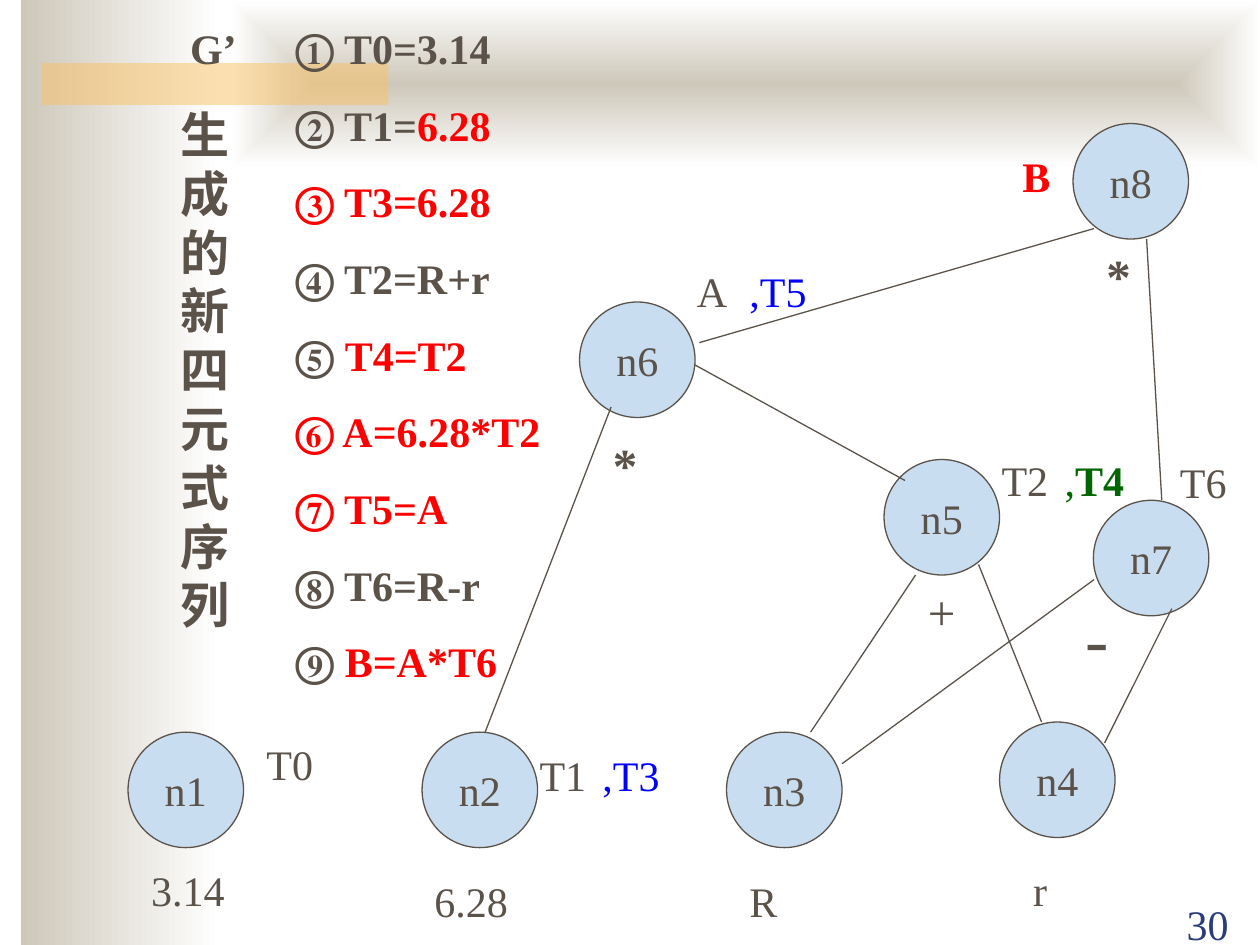
import pptx
import pptx.util
import pptx.dml.color
import pptx.enum.shapes
import pptx.enum.text
import pptx.oxml
import pptx.oxml.ns
from lxml import etree

Pt = pptx.util.Pt
ANCHOR = pptx.enum.text.MSO_ANCHOR
ALIGN = pptx.enum.text.PP_ALIGN
FIT = pptx.enum.text.MSO_AUTO_SIZE

COLOURS = {
    "ink": "5B5249", "node": "C9DDF1", "sand": "CEC8BA", "white": "FFFFFF",
    "band": "FAC164", "number": "2A3D7A", "red": "FF0000", "blue": "0000FF",
    "green": "006600",
}


def colour(name):
    return pptx.dml.color.RGBColor.from_string(COLOURS[name])


class GraphSlide:
    """Style and drawing methods for the graph slide."""

    font = "Times New Roman"
    chinese_font = "Noto Sans CJK JP"
    size = 24
    node_size = 66
    line_width = 0.75

    def __init__(self, slide):
        self.slide = slide

    def apply(self, target, formats):
        for name, value in formats.items():
            setattr(target, name, value)

    def rectangle(self, left, top, width, height):
        shape = self.slide.shapes.add_shape(
            pptx.enum.shapes.MSO_SHAPE.RECTANGLE, Pt(left), Pt(top), Pt(width), Pt(height))
        shape.shadow.inherit = False
        shape.line.fill.background()
        return shape

    def gradient(self, box, first, last, from_centre=False):
        fill = self.rectangle(*box).fill
        fill.gradient()
        fill.gradient_angle = 180
        for stop, name, position in zip(fill.gradient_stops, (first, last), (0, 1)):
            self.apply(stop, {"position": position})
            stop.color.rgb = colour(name)
        if from_centre:
            gradient = self.slide.shapes[-1].element.spPr.find(pptx.oxml.ns.qn("a:gradFill"))
            linear = gradient.find(pptx.oxml.ns.qn("a:lin"))
            path = pptx.oxml.parse_xml(
                f'<a:path {pptx.oxml.ns.nsdecls("a")} path="rect">'
                '<a:fillToRect l="50000" t="50000" r="50000" b="50000"/></a:path>')
            gradient.replace(linear, path)

    def translucent(self, box, name, percent):
        shape = self.rectangle(*box)
        shape.fill.solid()
        shape.fill.fore_color.rgb = colour(name)
        value = shape.element.spPr.find(".//" + pptx.oxml.ns.qn("a:srgbClr"))
        etree.SubElement(value, pptx.oxml.ns.qn("a:alpha"), val=str(percent * 1000))

    def run(self, paragraph, text, name="ink", size=None, bold=False, font=None):
        run = paragraph.add_run()
        run.text = text
        self.apply(run.font, {"name": font or self.font, "size": Pt(size or self.size),
                              "bold": bold})
        run.font.color.rgb = colour(name)
        if font:
            etree.SubElement(run.font._element, pptx.oxml.ns.qn("a:ea"), typeface=font)

    def node(self, text, left, top):
        shape = self.slide.shapes.add_shape(
            pptx.enum.shapes.MSO_SHAPE.OVAL, Pt(left), Pt(top),
            Pt(self.node_size), Pt(self.node_size))
        shape.shadow.inherit = False
        shape.fill.solid()
        shape.fill.fore_color.rgb = colour("node")
        shape.line.color.rgb = colour("ink")
        shape.line.width = Pt(self.line_width)
        self.apply(shape.text_frame, {"word_wrap": False, "vertical_anchor": ANCHOR.MIDDLE})
        paragraph = shape.text_frame.paragraphs[0]
        paragraph.alignment = ALIGN.CENTER
        self.run(paragraph, text)

    def edge(self, start_x, start_y, end_x, end_y):
        line = self.slide.shapes.add_connector(
            pptx.enum.shapes.MSO_CONNECTOR.STRAIGHT,
            Pt(start_x), Pt(start_y), Pt(end_x), Pt(end_y))
        line.line.color.rgb = colour("ink")
        line.line.width = Pt(self.line_width)
        etree.SubElement(line.element.spPr, pptx.oxml.ns.qn("a:effectLst"))

    def frame(self, left, top, width, height, **formats):
        box = self.slide.shapes.add_textbox(Pt(left), Pt(top), Pt(width), Pt(height))
        self.apply(box.text_frame, {"word_wrap": True, "auto_size": FIT.SHAPE_TO_FIT_TEXT,
                                    **formats})
        return box.text_frame

    def label(self, runs, left, top, width, size=24, height=None, **formats):
        text_frame = self.frame(left, top, width, height or size * 1.2 + 7.2)
        paragraph = text_frame.paragraphs[0]
        self.apply(paragraph, {"space_before": Pt(size * 0.625), **formats})
        for text, *style in runs:
            self.run(paragraph, text, *style)

    def steps(self, box, title, rows, indent):
        text_frame = self.frame(*box)
        for index, runs in enumerate(rows):
            paragraph = text_frame.paragraphs[0] if index == 0 else text_frame.add_paragraph()
            paragraph.space_before = Pt(15)
            first_indent = 0
            if index == 0:
                first_indent = -Pt(indent)
                self.run(paragraph, title + "\t", bold=True)
            properties = paragraph._p.get_or_add_pPr()
            properties.set("marL", str(Pt(indent)))
            properties.set("indent", str(first_indent))
            for text, name in runs:
                self.run(paragraph, text, name, bold=True)

    def page_number(self, text, box):
        text_frame = self.frame(*box, auto_size=FIT.NONE, vertical_anchor=ANCHOR.BOTTOM)
        paragraph = text_frame.paragraphs[0]
        paragraph.alignment = ALIGN.RIGHT
        self.run(paragraph, text, "number")


def main():
    presentation = pptx.Presentation()
    presentation.slide_width, presentation.slide_height = Pt(720), Pt(540)
    graph = GraphSlide(presentation.slides.add_slide(presentation.slide_layouts[6]))

    # Background decoration
    graph.gradient((12, 0, 114, 540), "white", "sand")
    graph.gradient((132, 0, 588, 96), "sand", "white", from_centre=True)
    graph.translucent((24, 36, 198, 24), "band", 50)
    graph.page_number("30", (637.2, 509.8, 72, 36))

    # Graph nodes
    for text, left, top in (
            ("n1", 73.2, 418.4), ("n7", 624.8, 285.9), ("n2", 241.2, 418.4),
            ("n6", 331.2, 172.6), ("n8", 613.2, 70.6), ("n5", 505.2, 262.6),
            ("n3", 415.2, 418.4), ("n4", 571.2, 412.6)):
        graph.node(text, left, top)

    # Edges
    for ends in (
            (523.2, 328.6, 463.2, 418.4), (559.2, 322.6, 595.2, 412.6),
            (349.2, 232.6, 277.2, 418.4), (397.2, 208.6, 517.2, 274.6),
            (625.2, 331.2, 481.2, 436.4), (669.6, 347.8, 631.2, 424.6),
            (625.2, 130.6, 399.6, 195.8), (655.2, 136.6, 663.9, 285.9)):
        graph.edge(*ends)

    # Values and names beside the nodes
    for text, left, top, width, *style in (
            ("3.14", 79.2, 490.4, 60), ("T0", 145.2, 418.4, 60),
            ("6.28", 241.2, 496.6, 66), ("T1", 301.2, 424.6, 54),
            ("R", 421.2, 496.6, 66), ("r", 583.2, 490.4, 60),
            ("T2", 565.2, 256.4, 48), ("A", 391.2, 148.4, 42),
            (",T3", 337.2, 424.6, 66, "blue"), (",T5", 421.2, 148.4, 66, "blue"),
            ("T6", 667.2, 257.6, 42), ("B", 577.2, 82.6, 54, "red", 24, True)):
        graph.label([(text, *style)], left, top, width)
    graph.label([(",", "green"), ("T4", "green", 24, True)], 601.2, 256.4, 60)

    # Operators under the nodes
    for text, left, top, width, size, bold in (
            ("+", 523.2, 328.6, 48, 28, False), ("*", 343.2, 244.6, 60, 28, True),
            ("-", 613.2, 336.4, 36, 40, False), ("*", 625.2, 136.6, 30, 28, True)):
        graph.label([(text, "ink", size, bold)], left, top, width, size)

    # Vertical title, one character a line
    graph.label([("生成的新四元式序列", "ink", 28, True, graph.chinese_font)],
                95.8, 56.2, 50.4, 28, 310.3, line_spacing=Pt(33.6))

    # Quadruple sequence
    graph.steps((101.5, 9.4, 224.6, 430.6), "G’", [
        [("① T0=3.14", "ink")],
        [("② T1=", "ink"), ("6.28", "red")],
        [("③ T3=6.28", "red")],
        [("④ T2=R+r", "ink")],
        [("⑤ ", "ink"), ("T4=T2", "red")],
        [("⑥ A=6.28*T2", "red")],
        [("⑦ T5=A", "red")],
        [("⑧ T6=R-r", "ink")],
        [("⑨ ", "ink"), ("B=A*T6", "red")],
    ], 60)

    presentation.save("out.pptx")


if __name__ == "__main__":
    main()
